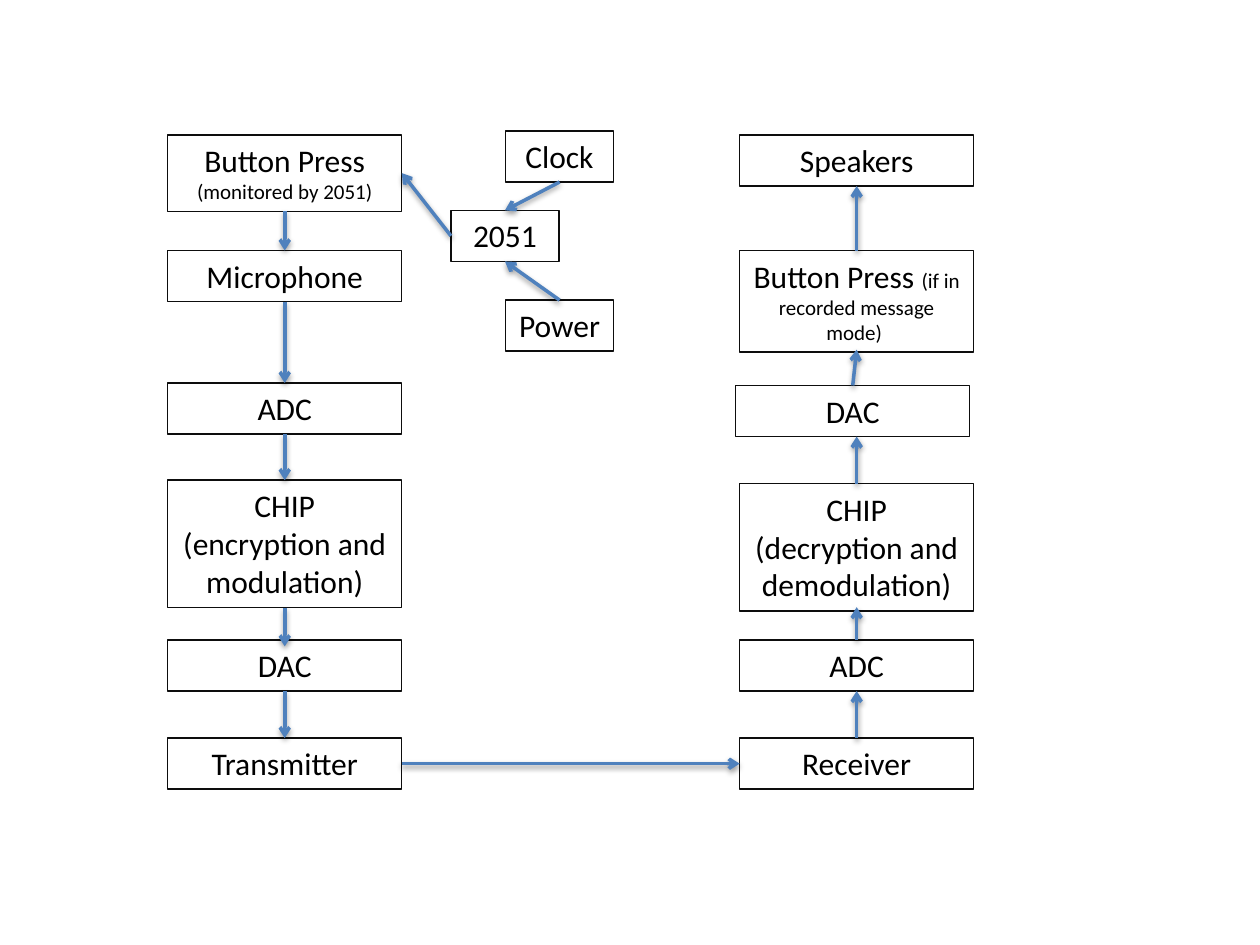
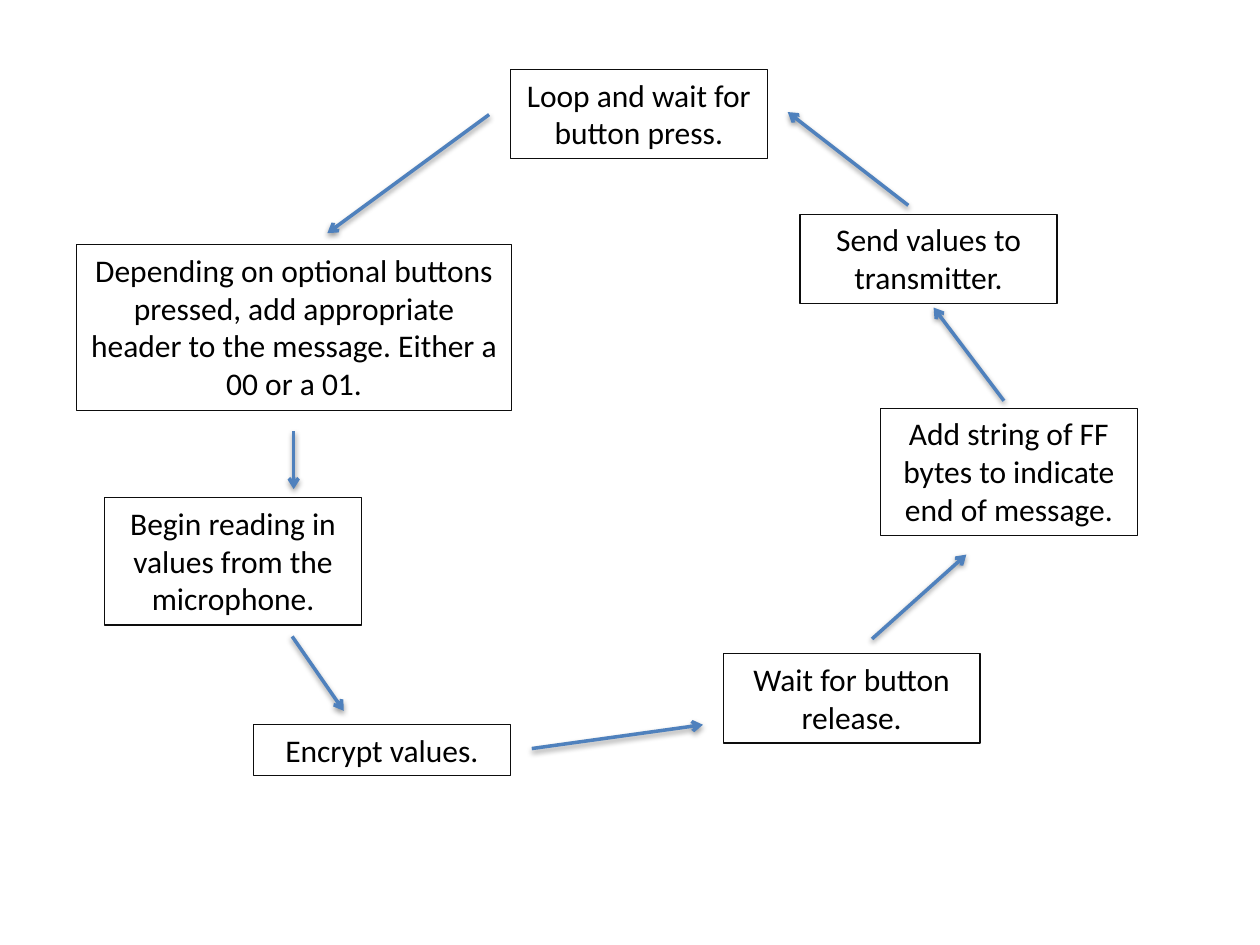
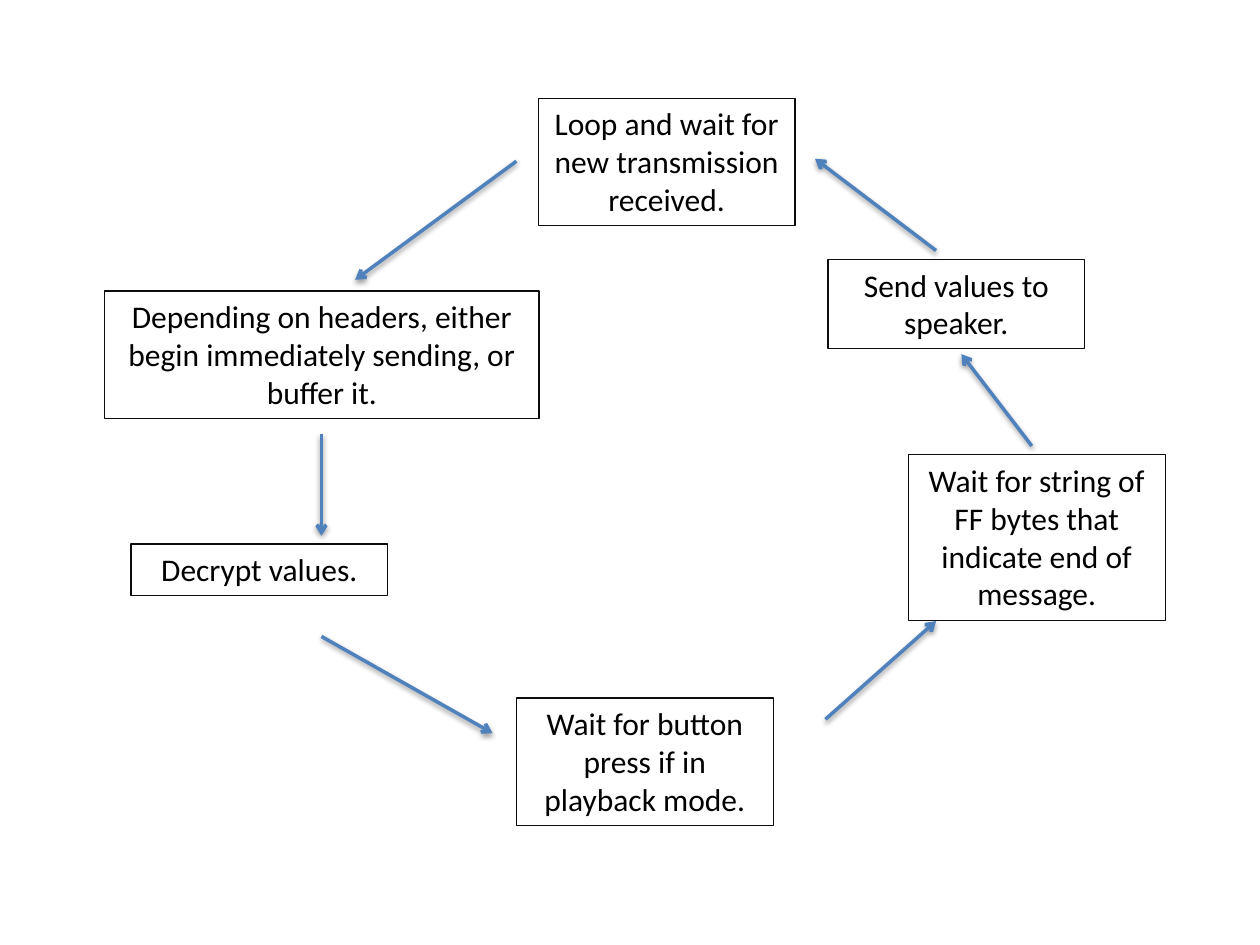
from dataclasses import dataclass

from lxml import etree
from pptx import Presentation
from pptx.dml.color import RGBColor
from pptx.enum.shapes import MSO_CONNECTOR
from pptx.enum.text import MSO_AUTO_SIZE, PP_ALIGN
from pptx.oxml.ns import qn
from pptx.util import Cm, Pt

STRAIGHT = MSO_CONNECTOR.STRAIGHT
GROW = MSO_AUTO_SIZE.SHAPE_TO_FIT_TEXT
CENTER = PP_ALIGN.CENTER

# Shared style
FONT, INK, EDGE, BLUE = "Calibri", "000000", "0D0D0D", "4F81BD"
BODY, NOTE = 18, 12
PAD, ROW, NOTE_ROW = 0.26, 0.77, 0.51  # box height in cm: padding plus rows

# Box widths and columns in cm
STAGE, PART, STEP, WIDE = 4.72, 2.18, 5.18, 8.76
SEND_X, GET_X = 3.38, 14.91

# Connection sites of a rectangle
TOP, LEFT, BOTTOM, RIGHT = range(4)

# Shift of an arrowhead from its site, in cm
Shift = tuple[float, float]
NONE: Shift = (0, 0)


@dataclass(frozen=True)
class Box:
    text: str
    left: float
    top: float
    rows: int = 1
    width: float = STEP
    note: str = ""
    note_rows: int = 0


@dataclass(frozen=True)
class Arrow:
    x1: float
    y1: float
    x2: float
    y2: float


def color(code: str) -> RGBColor:
    return RGBColor.from_string(code)


def add_run(para, text: str, size: int) -> None:
    run = para.add_run()
    run.text = text
    run.font.name, run.font.size = FONT, Pt(size)
    run.font.color.rgb = color(INK)


def draw_box(slide, box: Box):
    high = PAD + ROW * box.rows + NOTE_ROW * box.note_rows
    shape = slide.shapes.add_textbox(
        Cm(box.left), Cm(box.top), Cm(box.width), Cm(high))
    shape.line.color.rgb = color(EDGE)
    shape.line.width = Pt(0.75)
    frame = shape.text_frame
    frame.word_wrap, frame.auto_size = True, GROW
    for i, text in enumerate(box.text.split("\n")):
        para = frame.add_paragraph() if i else frame.paragraphs[0]
        para.alignment = CENTER
        add_run(para, text, BODY)
    if box.note:
        add_run(para, box.note, NOTE)
    return shape


def draw_line(slide, x1: int, y1: int, x2: int, y2: int):
    """Arrow with the soft shadow of the theme."""
    line = slide.shapes.add_connector(STRAIGHT, x1, y1, x2, y2)
    line.line.color.rgb = color(BLUE)
    line.line.width = Pt(2)
    etree.SubElement(line.line._get_or_add_ln(), qn("a:tailEnd"), type="arrow")
    return line


def spot(shape, site: int) -> tuple[int, int]:
    x = {LEFT: 0, RIGHT: shape.width}.get(site, shape.width // 2)
    y = {TOP: 0, BOTTOM: shape.height}.get(site, shape.height // 2)
    return shape.left + x, shape.top + y


def link(slide, start, site: int, goal, end: int, shift: Shift = NONE) -> None:
    """Join two boxes; a shifted arrowhead is not glued."""
    x, y = spot(goal, end)
    dx, dy = shift
    line = draw_line(slide, *spot(start, site), x + Cm(dx), y + Cm(dy))
    line.begin_connect(start, site)
    if shift == NONE:
        line.end_connect(goal, end)


def chain(slide, shapes: list, site: int, end: int,
          shifts: list[Shift]) -> None:
    for start, goal, shift in zip(shapes, shapes[1:], shifts):
        link(slide, start, site, goal, end, shift)


# Signal path, in the order of flow
SEND = [
    Box("Button Press ", SEND_X, 2.72, 1, STAGE, "(monitored by 2051)", 1),
    Box("Microphone", SEND_X, 5.05, 1, STAGE),
    Box("ADC", SEND_X, 7.72, 1, STAGE),
    Box("CHIP (encryption and modulation)", SEND_X, 9.68, 3, STAGE),
    Box("DAC", SEND_X, 12.9, 1, STAGE),
    Box("Transmitter", SEND_X, 14.88, 1, STAGE),
]
GET = [
    Box("Receiver", GET_X, 14.88, 1, STAGE),
    Box("ADC", GET_X, 12.9, 1, STAGE),
    Box("CHIP\n(decryption and demodulation)", GET_X, 9.75, 3, STAGE),
    Box("DAC", 14.83, 7.77, 1, STAGE),
    Box("Button Press ", GET_X, 5.05, 1, STAGE,
        "(if in recorded message mode) ", 2),
    Box("Speakers", GET_X, 2.72, 1, STAGE),
]
PARTS = [
    Box("Clock", 10.19, 2.64, 1, PART),
    Box("2051", 9.09, 4.24, 1, PART),
    Box("Power", 10.19, 6.05, 1, PART),
]
SEND_SHIFTS = [NONE, NONE, NONE, (0, 0.13), NONE]
GET_SHIFTS = [NONE, (0, -0.08), (0.08, 0), (0, -0.05), NONE]

# Loop of the sending side
SEND_LOOP = [
    Box("Loop and wait for button press.", 10.29, 1.4, 2),
    Box("Depending on optional buttons pressed, add appropriate header to "
        "the message. Either a 00 or a 01.", 1.55, 4.93, 4, WIDE),
    Box("Begin reading in values from the microphone.", 2.11, 10.03, 3),
    Box("Encrypt values.", 5.11, 14.61),
    Box("Wait for button release.", 14.58, 13.18, 2),
    Box("Add string of FF bytes to indicate end of message.", 17.75, 8.23, 3),
    Box("Send values to transmitter.", 16.13, 4.32, 2),
]
SEND_ARROWS = [
    Arrow(9.86, 2.31, 6.6, 4.7),
    Arrow(5.92, 8.69, 5.92, 9.86),
    Arrow(5.89, 12.83, 6.93, 14.33),
    Arrow(10.72, 15.09, 14.17, 14.61),
    Arrow(17.58, 12.88, 19.48, 11.18),
    Arrow(20.24, 8.08, 18.82, 6.2),
    Arrow(18.31, 4.14, 15.88, 2.26),
]

# Loop of the receiving side
GET_LOOP = [
    Box("Loop and wait for new transmission received.", 10.85, 1.98, 3),
    Box("Depending on headers, either begin immediately sending, or "
        "buffer it.", 2.11, 5.87, 3, WIDE),
    Box("Decrypt values.", 2.64, 10.97),
    Box("Wait for button press if in playback mode.", 10.41, 14.07, 3),
    Box("Wait for string of FF bytes that indicate end of message.",
        18.31, 9.17, 4),
    Box("Send values to speaker.", 16.69, 5.23, 2),
]
GET_ARROWS = [
    Arrow(10.41, 3.25, 7.16, 5.64),
    Arrow(6.48, 8.74, 6.48, 10.8),
    Arrow(6.48, 12.83, 9.93, 14.78),
    Arrow(16.64, 14.5, 18.87, 12.52),
    Arrow(20.8, 8.99, 19.38, 7.14),
    Arrow(18.87, 5.05, 16.43, 3.2),
]


def draw_signal(slide) -> None:
    send, get, parts = (
        [draw_box(slide, box) for box in group] for group in (SEND, GET, PARTS))
    chain(slide, send, BOTTOM, TOP, SEND_SHIFTS)
    chain(slide, get, TOP, BOTTOM, GET_SHIFTS)
    link(slide, send[-1], RIGHT, get[0], LEFT)
    clock, chip, power = parts
    link(slide, power, TOP, chip, BOTTOM)
    link(slide, clock, BOTTOM, chip, TOP)
    link(slide, chip, LEFT, send[0], RIGHT)


def draw_loop(slide, boxes: list[Box], arrows: list[Arrow]) -> None:
    for box in boxes:
        draw_box(slide, box)
    for arrow in arrows:
        draw_line(slide, Cm(arrow.x1), Cm(arrow.y1),
                  Cm(arrow.x2), Cm(arrow.y2))


def main() -> None:
    deck = Presentation()
    deck.slide_width, deck.slide_height = Cm(25.4), Cm(19.05)
    blank = deck.slide_layouts[6]
    draw_signal(deck.slides.add_slide(blank))
    draw_loop(deck.slides.add_slide(blank), SEND_LOOP, SEND_ARROWS)
    draw_loop(deck.slides.add_slide(blank), GET_LOOP, GET_ARROWS)
    deck.save("out.pptx")


if __name__ == "__main__":
    main()
